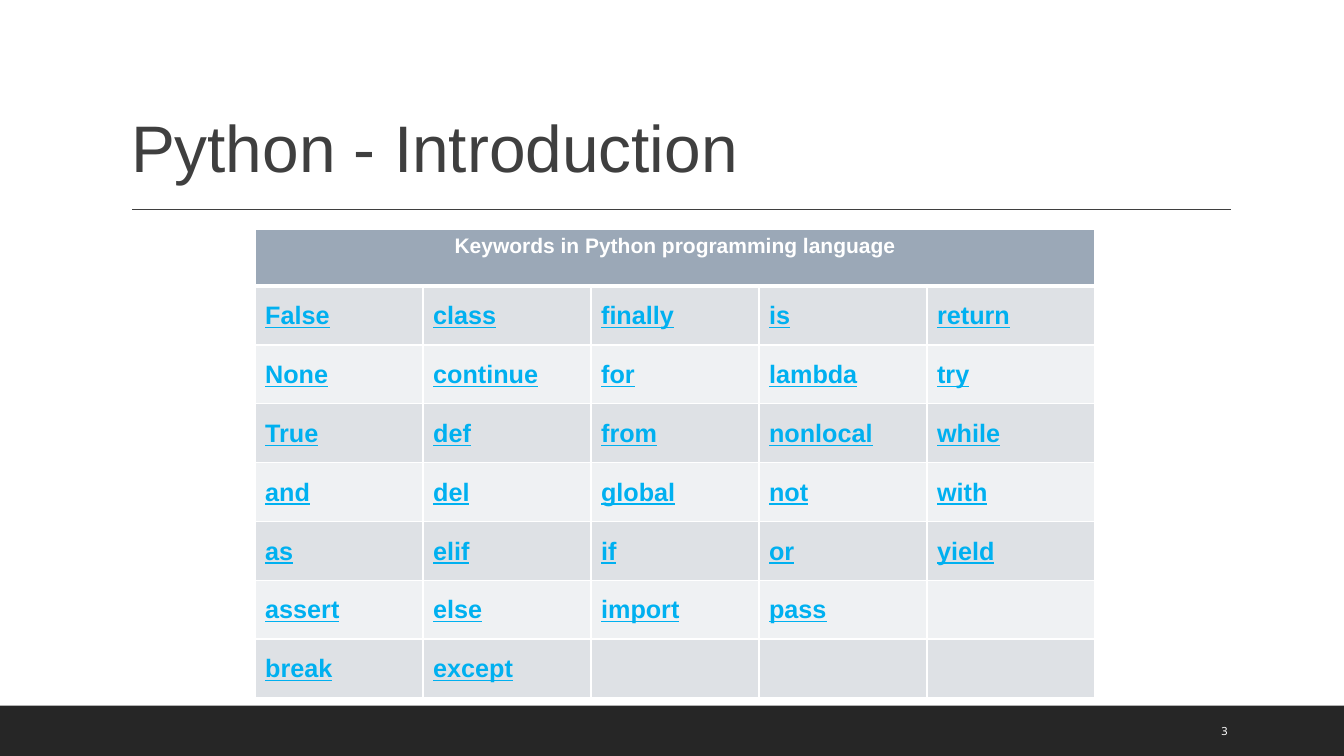
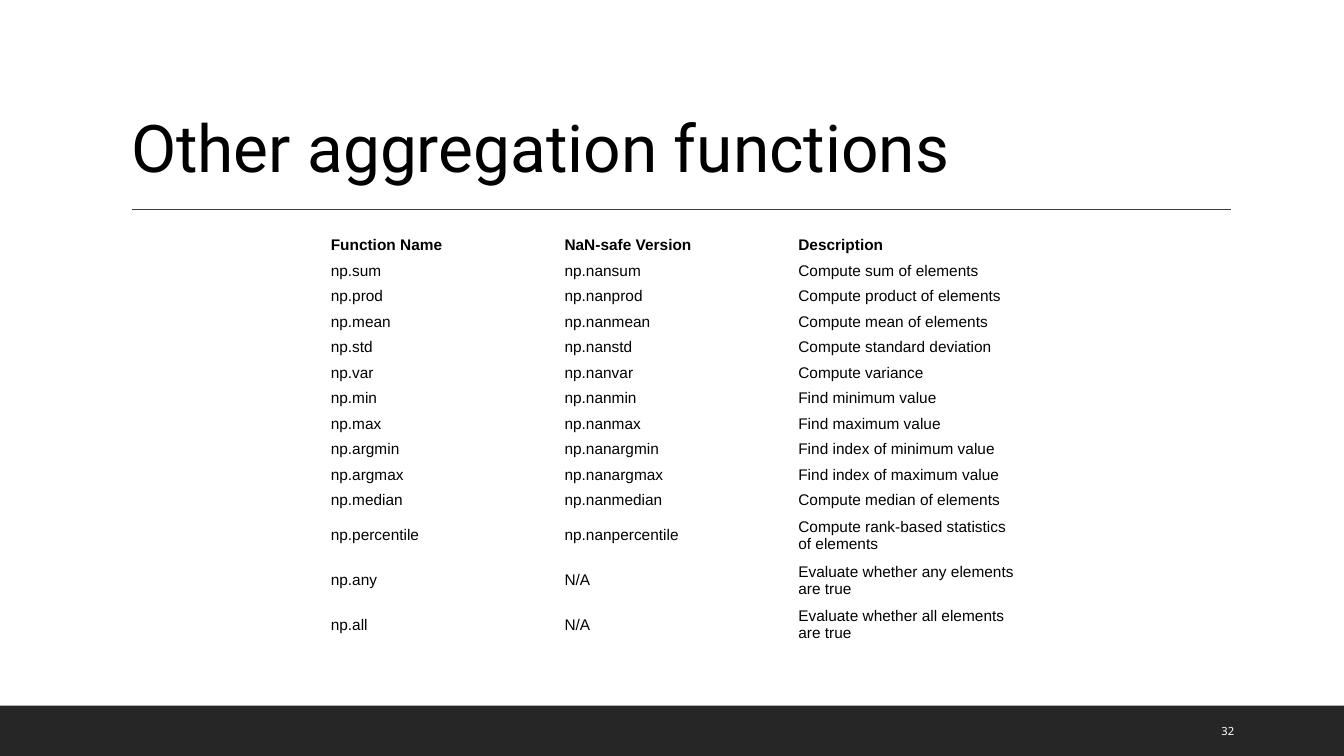
from dataclasses import dataclass
from typing import Any, NamedTuple

from lxml import etree
from pptx import Presentation
from pptx import util as u
from pptx.dml import color as dml
from pptx.enum import shapes, text
from pptx.oxml import ns


@dataclass(frozen=True)
class Theme:
    ink: str = "000000"
    gray: str = "3F3F3F"
    band: str = "262626"
    white: str = "FFFFFF"
    link: str = "00B0F0"
    head: str = "9BA8B7"
    odd: str = "DEE1E5"
    even: str = "EFF1F3"
    sans: str = "Arial"
    round: str = "Roboto"
    note: str = "Noto Sans"
    title: float = 47
    word: float = 18
    label: float = 15
    small: float = 11
    tiny: float = 8


class Box(NamedTuple):
    left: float
    top: float
    width: float
    height: float


class Page(NamedTuple):
    title: str
    font: str
    color: str
    number: str


@dataclass(frozen=True)
class Grid:
    left: float
    top: float
    widths: list[float]
    heights: list[float]


THEME = Theme()
WIDE, HIGH = 960, 540
BAND = Box(0, 504, WIDE, 36)
RULE = Box(94.4, 149.6, 784.8, 0)
TITLE = Box(86.4, 22.3, 792, 114.5)
NUMBER = Box(865.4, 507.6, 61.2, 28.8)
PLAIN = (7.2, 3.6, 7.2, 3.6)
ROOMY = (7.2, 7.2, 5.8, 6.5)
TIGHT = (4.5, 2.2, 4.5, 2.2)

WORDS = [
    ["False", "class", "finally", "is", "return"],
    ["None", "continue", "for", "lambda", "try"],
    ["True", "def", "from", "nonlocal", "while"],
    ["and", "del", "global", "not", "with"],
    ["as", "elif", "if", "or", "yield"],
    ["assert", "else", "import", "pass", ""],
    ["break", "except", "", "", ""],
]
HEADS = ["Function Name", "NaN-safe Version", "Description"]
SAFE = {
    "sum": "Compute sum of elements",
    "prod": "Compute product of elements",
    "mean": "Compute mean of elements",
    "std": "Compute standard deviation",
    "var": "Compute variance",
    "min": "Find minimum value",
    "max": "Find maximum value",
    "argmin": "Find index of minimum value",
    "argmax": "Find index of maximum value",
    "median": "Compute median of elements",
    "percentile": "Compute rank-based statistics of elements",
}
TESTS = {
    "any": "Evaluate whether any elements are true",
    "all": "Evaluate whether all elements are true",
}


def rgb(code: str) -> dml.RGBColor:
    return dml.RGBColor.from_string(code)


def points(box: Box) -> list[int]:
    return [u.Pt(n) for n in box]


def write(frame: Any, words: str, *, size: float, color: str,
          font: str = THEME.sans, bold: bool = False, under: bool = False,
          align: Any = text.PP_ALIGN.LEFT, space: float = 1) -> None:
    para = frame.paragraphs[0]
    para.alignment = align
    para.line_spacing = space
    run = para.add_run()
    run.text = words
    run.font.name = font
    run.font.size = u.Pt(size)
    run.font.bold = bold
    run.font.underline = under
    run.font.color.rgb = rgb(color)


def pad(item: Any, inset: tuple[float, ...], anchor: Any) -> None:
    (item.margin_left, item.margin_top,
     item.margin_right, item.margin_bottom) = [u.Pt(n) for n in inset]
    item.vertical_anchor = anchor


def edge(cell: Any, top: float, base: float) -> None:
    props = cell._tc.get_or_add_tcPr()
    sides = {"lnL": 1, "lnR": 1, "lnT": top, "lnB": base}
    for spot, (side, width) in enumerate(sides.items()):
        line = etree.Element(ns.qn(f"a:{side}"), w=str(u.Pt(width)))
        fill = etree.SubElement(line, ns.qn("a:solidFill"))
        etree.SubElement(fill, ns.qn("a:srgbClr"), val=THEME.white)
        props.insert(spot, line)


def dress(layout: Any, slide: Any) -> None:
    for item in list(layout.placeholders):
        if item.placeholder_format.type != shapes.PP_PLACEHOLDER.TITLE:
            item.element.getparent().remove(item.element)
    band = slide.shapes.add_shape(shapes.MSO_SHAPE.RECTANGLE, *points(BAND))
    band.shadow.inherit = False
    band.fill.solid()
    band.fill.fore_color.rgb = rgb(THEME.band)
    band.line.fill.background()
    rule = slide.shapes.add_connector(
        shapes.MSO_CONNECTOR.STRAIGHT, u.Pt(RULE.left), u.Pt(RULE.top),
        u.Pt(RULE.left + RULE.width), u.Pt(RULE.top))
    rule.line.color.rgb = rgb(THEME.gray)
    rule.line.width = u.Pt(1)
    etree.SubElement(rule.element.spPr, ns.qn("a:effectLst"))
    for item in (band, rule):
        layout.shapes.element.append(item.element)


def fill_page(slide: Any, page: Page) -> None:
    title = slide.shapes.title
    title.left, title.top, title.width, title.height = points(TITLE)
    title.text_frame.auto_size = text.MSO_AUTO_SIZE.NONE
    pad(title.text_frame, PLAIN, text.MSO_ANCHOR.BOTTOM)
    write(title.text_frame, page.title, size=THEME.title, color=page.color,
          font=page.font, space=0.9)
    frame = slide.shapes.add_textbox(*points(NUMBER)).text_frame
    frame.word_wrap = True
    pad(frame, PLAIN, text.MSO_ANCHOR.MIDDLE)
    write(frame, page.number, size=THEME.tiny, color=THEME.white,
          font=THEME.note)


def add_grid(slide: Any, grid: Grid) -> Any:
    box = Box(grid.left, grid.top, sum(grid.widths), sum(grid.heights))
    table = slide.shapes.add_table(
        len(grid.heights), len(grid.widths), *points(box)).table
    table.first_row = table.horz_banding = False
    for col, width in zip(table.columns, grid.widths):
        col.width = u.Pt(width)
    for row, height in zip(table.rows, grid.heights):
        row.height = u.Pt(height)
    return table


def draw_words(slide: Any) -> None:
    grid = Grid(182.2, 164.2, [120] * 5, [40.3] + [42] * len(WORDS))
    table = add_grid(slide, grid)
    head = table.cell(0, 0)
    head.merge(table.cell(0, 4))
    pad(head, PLAIN, text.MSO_ANCHOR.TOP)
    write(head.text_frame, "Keywords in Python programming language",
          size=THEME.label, color=THEME.white, bold=True,
          align=text.PP_ALIGN.CENTER)
    for r, row in enumerate(table.rows):
        shade = THEME.head if r == 0 else THEME.odd if r % 2 else THEME.even
        for c, cell in enumerate(row.cells):
            cell.fill.solid()
            cell.fill.fore_color.rgb = rgb(shade)
            edge(cell, 3 if r == 1 else 1, 3 if r == 0 else 1)
            if r and WORDS[r - 1][c]:
                pad(cell, ROOMY, text.MSO_ANCHOR.MIDDLE)
                write(cell.text_frame, WORDS[r - 1][c], size=THEME.word,
                      color=THEME.link, bold=True, under=True)


def draw_funcs(slide: Any) -> None:
    rows = [HEADS]
    rows += [[f"np.{name}", f"np.nan{name}", use] for name, use in SAFE.items()]
    rows += [[f"np.{name}", "N/A", use] for name, use in TESTS.items()]
    grid = Grid(231.8, 166.3, [167] * 3, [18.2] * 11 + [32] * 3)
    table = add_grid(slide, grid)
    for r, (row, words) in enumerate(zip(table.rows, rows)):
        for cell, word in zip(row.cells, words):
            cell.fill.background()
            pad(cell, TIGHT, text.MSO_ANCHOR.MIDDLE)
            write(cell.text_frame, word, size=THEME.small, color=THEME.ink,
                  bold=r == 0)


def main() -> None:
    deck = Presentation()
    deck.slide_width, deck.slide_height = u.Pt(WIDE), u.Pt(HIGH)
    layout = deck.slide_layouts.get_by_name("Title Only")
    pages = [
        (Page("Python - Introduction", THEME.sans, THEME.gray, "3"),
         draw_words),
        (Page("Other aggregation functions", THEME.round, THEME.ink, "32"),
         draw_funcs),
    ]
    slides = [deck.slides.add_slide(layout) for _ in pages]
    dress(layout, slides[0])
    for slide, (page, draw) in zip(slides, pages):
        fill_page(slide, page)
        draw(slide)
    deck.save("out.pptx")


main()
